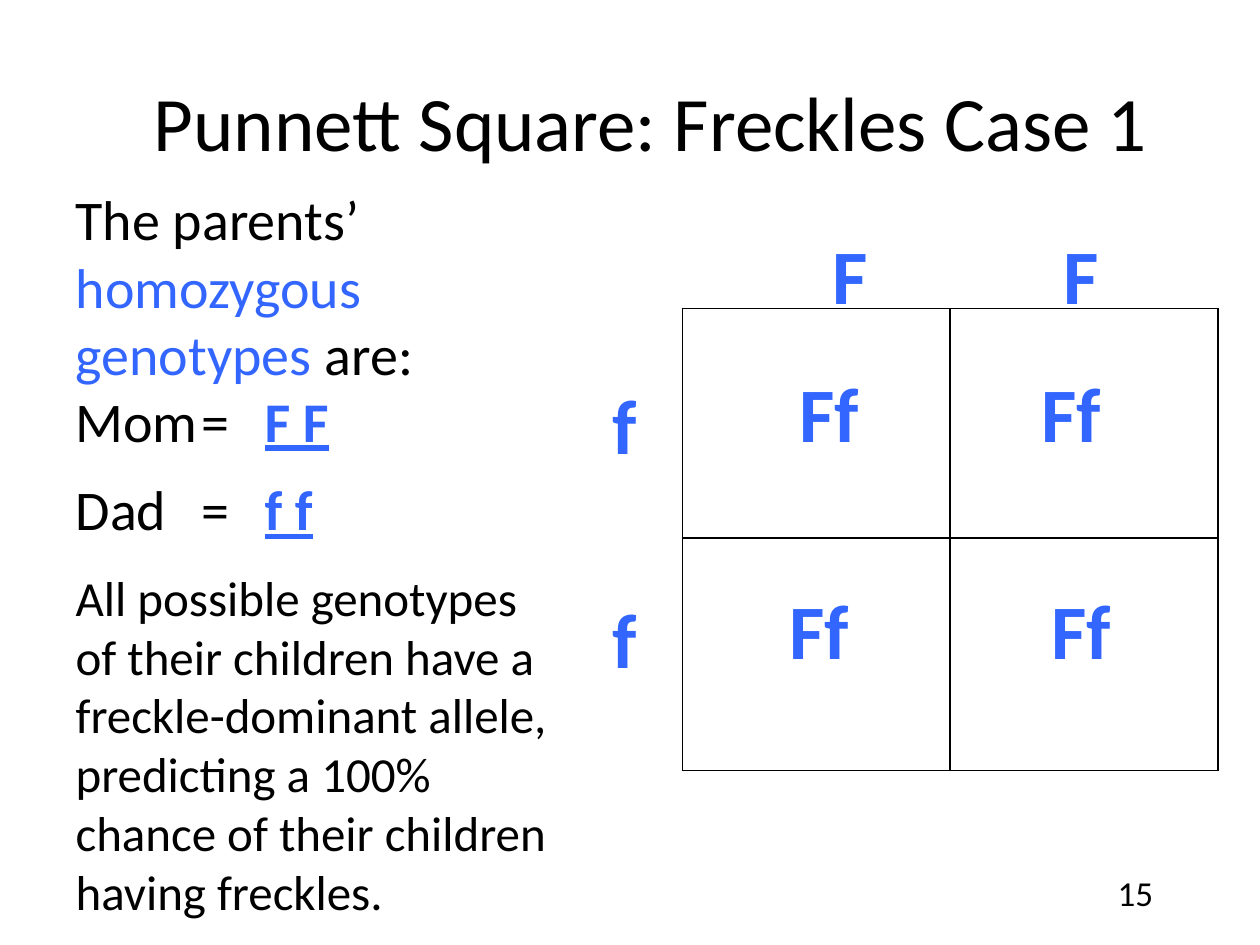
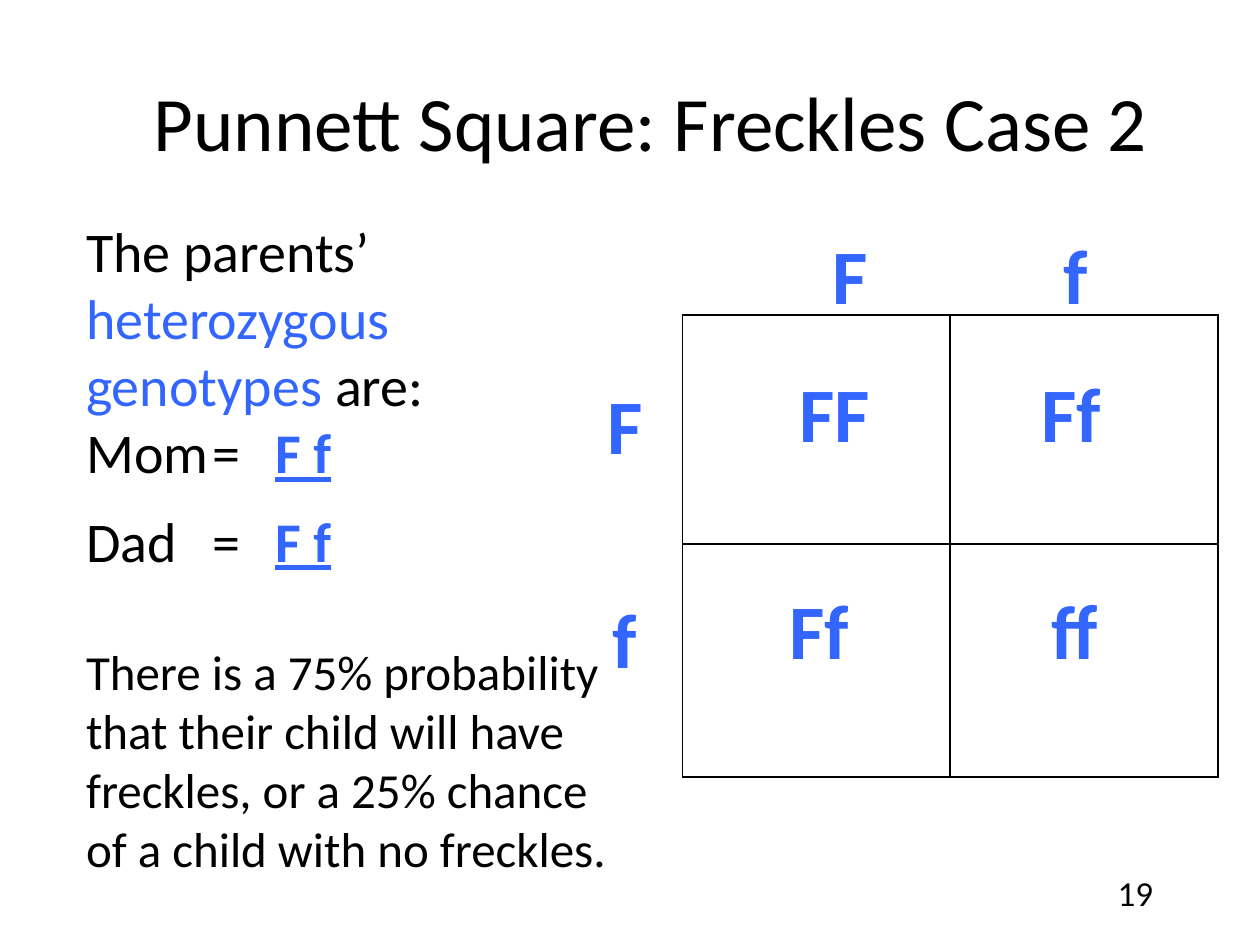
from dataclasses import dataclass

from lxml.etree import SubElement
from pptx import Presentation
from pptx.dml.color import RGBColor
from pptx.enum.text import MSO_ANCHOR, MSO_AUTO_SIZE, PP_ALIGN
from pptx.oxml.ns import qn
from pptx.util import Pt


@dataclass(frozen=True)
class Theme:
    font: str = "Calibri"
    ink: RGBColor = RGBColor(0x00, 0x00, 0x00)
    accent: RGBColor = RGBColor(0x33, 0x66, 0xFF)
    title_size: int = 44
    allele_size: int = 44
    parent_size: int = 32
    conclusion_size: int = 28
    number_size: int = 20
    border_width: int = 1


@dataclass(frozen=True)
class Case:
    title: str
    zygosity: str
    mom: str
    dad: str
    conclusion: str
    conclusion_gap: float
    body_box: tuple
    table_top: float
    number: str


CASES = [
    Case("Punnett Square: Freckles Case 1", "homozygous", "FF", "ff",
         "All possible genotypes of their children have a freckle-dominant allele, "
         "predicting a 100% chance of their children having freckles.",
         14.5, (36, 102, 294, 431), 176.4, "15"),
    Case("Punnett Square: Freckles Case 2", "heterozygous", "Ff", "Ff",
         "There is a 75% probability that their child will have freckles, "
         "or a 25% chance of a child with no freckles.",
         39, (42, 120, 318, 388), 180, "19"),
]

TITLE_BOX = (66, 24, 612, 90)
NUMBER_BOX = (516, 492, 150, 36)
TABLE_LEFT = 390
COLUMN_WIDTH = 153
ROW_HEIGHTS = (131, 133)
MOM_LEFTS = (475.5, 607.5)
MOM_TOP = 129.5
DAD_LEFT = 324
DAD_TOPS = (215, 337.5)
CHILD_LEFTS = ((457, 595), (451, 601))
CHILD_TOPS = (208, 332)
ALLELE_WIDTH, ALLELE_HEIGHT = 66, 54
TAB_STOPS = (82, 144)


class SlideBuilder:
    def __init__(self, presentation, theme):
        self.presentation = presentation
        self.theme = theme
        self.slide = None

    def new_slide(self):
        self.slide = self.presentation.slides.add_slide(self.presentation.slide_layouts[1])

    def place(self, shape, box):
        shape.left, shape.top, shape.width, shape.height = map(Pt, box)

    def style(self, font, size, color=None, bold=False):
        font.name, font.size, font.bold = self.theme.font, Pt(size), bold
        font.color.rgb = color or self.theme.ink

    def title(self, text):
        shape = self.slide.shapes.title
        self.place(shape, TITLE_BOX)
        shape.text_frame.text = text
        self.style(shape.text_frame.paragraphs[0].font, self.theme.title_size)

    def body(self, box, paragraphs):
        """Fill the body with (size, space before, space after, runs); a run is (text, kind)."""
        shape = self.slide.placeholders[1]
        self.place(shape, box)
        frame = shape.text_frame
        frame.auto_size = MSO_AUTO_SIZE.NONE
        for index, (size, before, after, runs) in enumerate(paragraphs):
            paragraph = frame.add_paragraph() if index else frame.paragraphs[0]
            paragraph.space_before, paragraph.space_after = Pt(before), Pt(after)
            self.plain_list_item(paragraph)
            self.style(paragraph.font, size)
            for text, kind in runs:
                run = paragraph.add_run()
                run.text = text
                if kind != "plain":
                    run.font.color.rgb = self.theme.accent
                if kind == "genotype":
                    run.font.bold = run.font.underline = True

    def plain_list_item(self, paragraph):
        """Drop the bullet and its indent, and set the tab stops."""
        properties = paragraph._p.get_or_add_pPr()
        properties.set("marL", "0")
        properties.set("indent", "0")
        SubElement(properties, qn("a:buNone"))
        tabs = SubElement(properties, qn("a:tabLst"))
        for position in TAB_STOPS:
            SubElement(tabs, qn("a:tab"), pos=str(Pt(position)), algn="l")

    def label(self, text, box, size, color=None, bold=False, align=PP_ALIGN.LEFT):
        shape = self.slide.shapes.add_textbox(*map(Pt, box))
        frame = shape.text_frame
        frame.word_wrap = True
        frame.vertical_anchor = MSO_ANCHOR.MIDDLE
        frame.margin_top = frame.margin_bottom = 0
        if align == PP_ALIGN.LEFT:
            frame.margin_left = frame.margin_right = 0
        frame.text = text
        paragraph = frame.paragraphs[0]
        paragraph.alignment = align
        self.style(paragraph.font, size, color, bold)

    def allele(self, text, left, top, align=PP_ALIGN.LEFT):
        self.label(text, (left, top, ALLELE_WIDTH, ALLELE_HEIGHT),
                   self.theme.allele_size, self.theme.accent, True, align)

    def square(self, top):
        """Draw the empty two by two table."""
        box = (TABLE_LEFT, top, 2 * COLUMN_WIDTH, sum(ROW_HEIGHTS))
        table = self.slide.shapes.add_table(2, 2, *map(Pt, box)).table
        table.first_row = table.horz_banding = False
        for column in table.columns:
            column.width = Pt(COLUMN_WIDTH)
        for row, height in zip(table.rows, ROW_HEIGHTS):
            row.height = Pt(height)
        for cell in table.iter_cells():
            self.border(cell)
            cell.fill.background()

    def border(self, cell):
        properties = cell._tc.get_or_add_tcPr()
        for side in ("lnL", "lnR", "lnT", "lnB"):
            line = SubElement(properties, qn(f"a:{side}"), w=str(Pt(self.theme.border_width)))
            fill = SubElement(line, qn("a:solidFill"))
            SubElement(fill, qn("a:srgbClr"), val=str(self.theme.ink))


def cross(mom, dad):
    """Return the children's genotypes by row, dominant allele first."""
    return [["".join(sorted(from_mom + from_dad)) for from_mom in mom] for from_dad in dad]


def build_case(builder, case):
    theme = builder.theme
    builder.new_slide()
    builder.title(case.title)
    parents = [
        (theme.parent_size, 0, after,
         [(f"{parent}\t=\t", "plain"), (" ".join(genotype), "genotype")])
        for parent, genotype, after in (("Mom", case.mom, 12), ("Dad", case.dad, 0))
    ]
    builder.body(case.body_box, [
        (theme.parent_size, 0, 0, [("The parents’ ", "plain"),
                                   (f"{case.zygosity} genotypes", "accent"),
                                   (" are:", "plain")]),
        *parents,
        (theme.conclusion_size, case.conclusion_gap, 0, [(case.conclusion, "plain")]),
    ])
    for text, left in zip(case.mom, MOM_LEFTS):
        builder.allele(text, left, MOM_TOP)
    for text, top in zip(case.dad, DAD_TOPS):
        builder.allele(text, DAD_LEFT, top, PP_ALIGN.CENTER)
    for children, lefts, top in zip(cross(case.mom, case.dad), CHILD_LEFTS, CHILD_TOPS):
        for text, left in zip(children, lefts):
            builder.allele(text, left, top)
    builder.label(case.number, NUMBER_BOX, theme.number_size, align=PP_ALIGN.RIGHT)
    builder.square(case.table_top)


def main():
    presentation = Presentation()
    presentation.slide_width, presentation.slide_height = Pt(720), Pt(540)
    builder = SlideBuilder(presentation, Theme())
    for case in CASES:
        build_case(builder, case)
    presentation.save("out.pptx")


if __name__ == "__main__":
    main()
